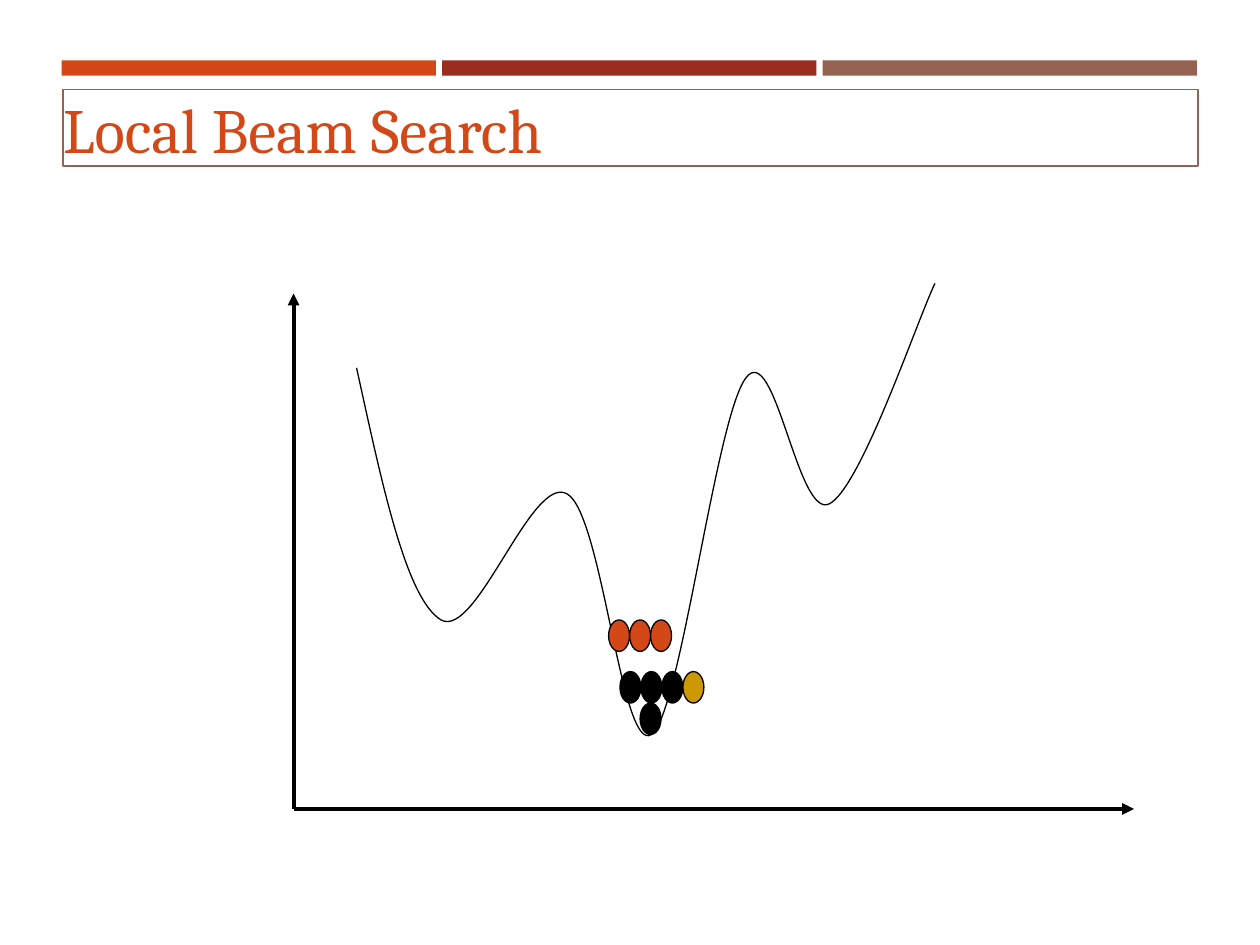
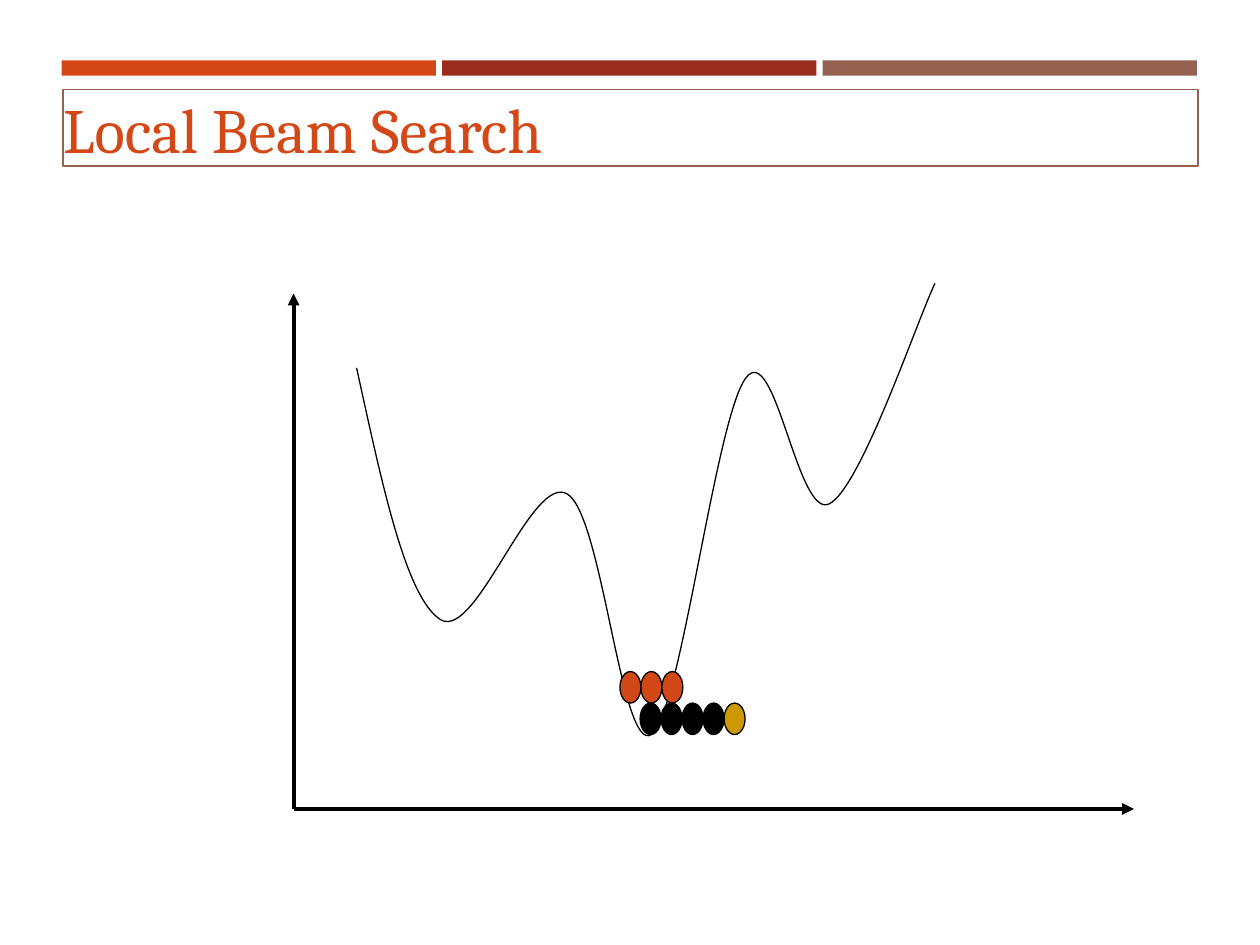
import pptx
import pptx.dml.color
import pptx.enum.shapes
import pptx.enum.text
import pptx.oxml
import pptx.oxml.ns
import pptx.util

Inches, Pt = pptx.util.Inches, pptx.util.Pt
RGBColor = pptx.dml.color.RGBColor
SHAPE = pptx.enum.shapes.MSO_SHAPE
qn = pptx.oxml.ns.qn
NS = pptx.oxml.ns.nsdecls("a")

ORANGE = RGBColor(0xD3, 0x48, 0x17)
RED = RGBColor(0x9B, 0x2D, 0x1F)
BROWN = RGBColor(0x95, 0x62, 0x51)
GOLD = RGBColor(0xCC, 0x99, 0x00)
BLACK = RGBColor(0, 0, 0)

BANDS = [ORANGE, RED, BROWN]
FRAME_FORMAT = {
    "margin_left": 0, "margin_right": 0, "margin_top": 0, "margin_bottom": 0,
    "word_wrap": True,
    "vertical_anchor": pptx.enum.text.MSO_ANCHOR.MIDDLE,
    "auto_size": pptx.enum.text.MSO_AUTO_SIZE.SHAPE_TO_FIT_TEXT,
}
TITLE_FONT = {"name": "Cambria", "size": Pt(36)}

ORIGIN = (2.33, 6.42)
AXIS_ENDS = [(2.33, 2.33), (9, 6.42)]
# Start point, then two control points and an end point for each segment.
CURVE = [
    (2.83, 2.92),
    (3.03, 3.83), (3.22, 4.75), (3.5, 4.92),
    (3.78, 5.08), (4.22, 3.76), (4.5, 3.92),
    (4.78, 4.07), (4.93, 5.99), (5.17, 5.83),
    (5.4, 5.68), (5.68, 3.31), (5.92, 3),
    (6.15, 2.69), (6.33, 4.12), (6.58, 4),
    (6.83, 3.88), (7.28, 2.54), (7.42, 2.25),
]

DOT_W, DOT_H = 1 / 6, 0.25
# Each slide: rows of touching dots as (left, top, colours).
DOT_ROWS = [
    [(4.83, 4.92, [ORANGE] * 3),
     (4.92, 5.33, [BLACK] * 3 + [GOLD]),
     (5.08, 5.58, [BLACK])],
    [(4.92, 5.33, [ORANGE] * 3),
     (5.08, 5.58, [BLACK] * 4 + [GOLD])],
]


def add_preset(s, kind, box, fill=None, line=None, width=0.75):
    sp = s.shapes.add_shape(kind, *[Inches(v) for v in box])
    sp.shadow.inherit = False
    if fill is None:
        sp.fill.background()
    else:
        sp.fill.solid()
        sp.fill.fore_color.rgb = fill
    if line is None:
        sp.line.fill.background()
    else:
        sp.line.color.rgb = line
        sp.line.width = Pt(width)
    return sp


def add_curve(s, points):
    """Draw an open Bezier curve by regrouping straight segments in threes."""
    start, *rest = [(Inches(x), Inches(y)) for x, y in points]
    builder = s.shapes.build_freeform(*start)
    builder.add_line_segments(rest, close=False)
    sp = builder.convert_to_shape()
    sp.shadow.inherit = False
    sp.fill.background()
    sp.line.color.rgb = BLACK
    sp.line.width = Pt(0.75)
    outline = next(sp._element.iter(qn("a:path")))
    segments = outline.findall(qn("a:lnTo"))
    for i in range(0, len(segments), 3):
        bezier = pptx.oxml.parse_xml(f"<a:cubicBezTo {NS}/>")
        for segment in segments[i:i + 3]:
            bezier.append(segment[0])
            outline.remove(segment)
        outline.append(bezier)


prs = pptx.Presentation()
prs.slide_width, prs.slide_height = Inches(10), Inches(7.5)

for dot_rows in DOT_ROWS:
    s = prs.slides.add_slide(prs.slide_layouts[6])

    for i, color in enumerate(BANDS):
        add_preset(s, SHAPE.RECTANGLE, (0.49 + 3.02 * i, 0.48, 2.97, 0.12), color)

    for end in AXIS_ENDS:
        axis = s.shapes.add_connector(
            pptx.enum.shapes.MSO_CONNECTOR.STRAIGHT,
            *[Inches(v) for v in ORIGIN + end])
        axis.line.color.rgb = BLACK
        axis.line.width = Pt(2.25)
        axis.line._get_or_add_ln().append(
            pptx.oxml.parse_xml(f'<a:tailEnd {NS} type="triangle"/>'))
        axis._element.spPr.append(pptx.oxml.parse_xml(f"<a:effectLst {NS}/>"))

    add_curve(s, CURVE)

    for left, top, colors in dot_rows:
        for i, color in enumerate(colors):
            add_preset(s, SHAPE.OVAL, (left + i * DOT_W, top, DOT_W, DOT_H), color, BLACK)

    title = add_preset(s, SHAPE.RECTANGLE, (0.5, 0.71, 9.01, 0.61), line=BROWN, width=1)
    tf = title.text_frame
    for name, value in FRAME_FORMAT.items():
        setattr(tf, name, value)
    p = tf.paragraphs[0]
    p.alignment = pptx.enum.text.PP_ALIGN.LEFT
    r = p.add_run()
    r.text = "Local Beam Search"
    for name, value in TITLE_FONT.items():
        setattr(r.font, name, value)
    r.font.color.rgb = ORANGE

prs.save("out.pptx")
